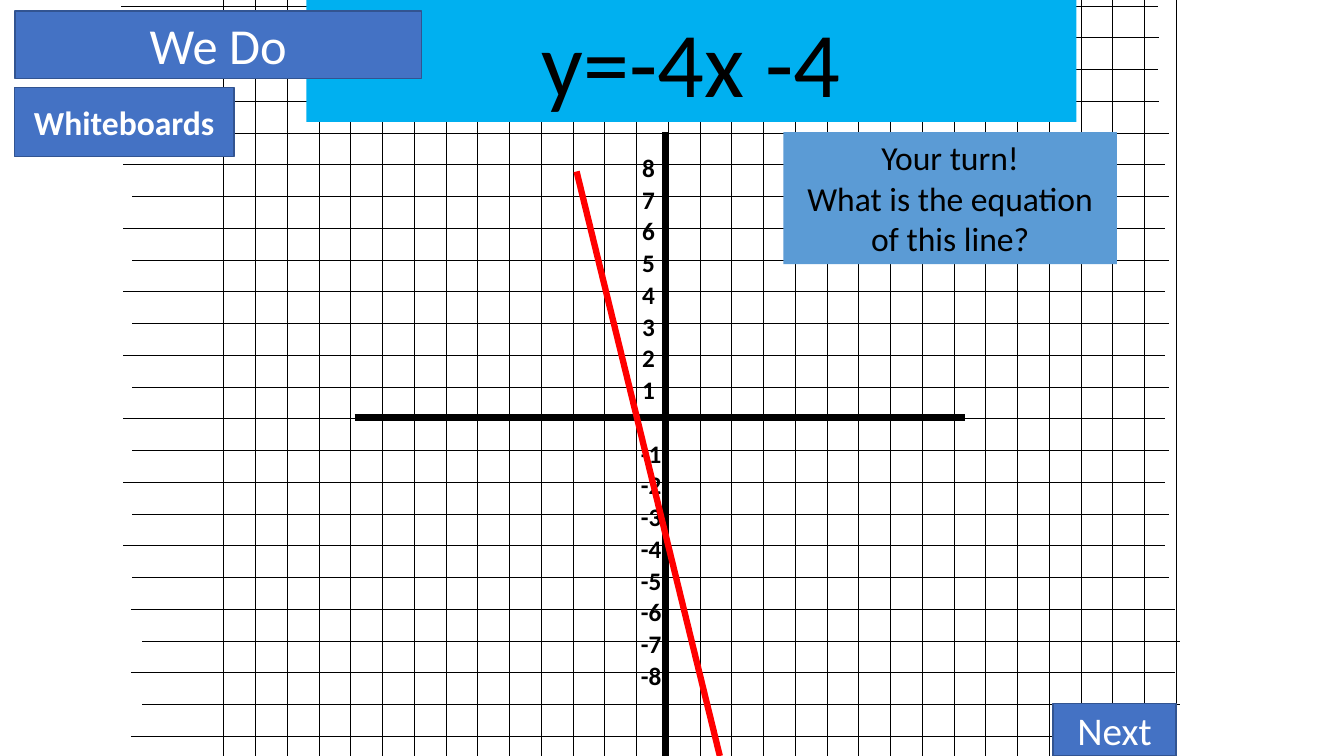
from lxml.etree import SubElement
from pptx import Presentation
from pptx.dml.color import RGBColor
from pptx.enum.shapes import MSO_CONNECTOR as Connector, MSO_SHAPE as Shape
from pptx.enum.text import MSO_ANCHOR as Anchor, MSO_AUTO_SIZE as AutoSize, PP_ALIGN as Align
from pptx.oxml.ns import qn
from pptx.util import Cm, Pt

COLOURS = {
    "black": "000000",
    "white": "FFFFFF",
    "red": "FF0000",
    "title": "00B0F0",
    "question": "5B9BD5",
    "button": "4472C4",
    "button_edge": "325491",
}
FONT = "Calibri"
SLIDE_WIDTH, SLIDE_HEIGHT = 33.87, 19.05
SQUARE = 0.8
GRID_LEFT, GRID_TOP = 5.64, 0.15
COLUMN_COUNT = 31
ROW_BANDS = [
    (range(0, 4), (3.05, 29.18), (2.9, 29.2)),
    (range(4, 19), (3.33, 29.46), (3.1, 29.36)),
    (range(19, 24), (3.58, 29.74), (3.3, 29.6)),
]


def colour(name):
    return RGBColor.from_string(COLOURS[name])


def add_line(page, start, end, name, width):
    line = page.shapes.add_connector(
        Connector.STRAIGHT, *(Cm(value) for value in (*start, *end))
    )
    line.line.color.rgb = colour(name)
    line.line.width = Pt(width)
    SubElement(line._element.spPr, qn("a:effectLst"))


def add_text(box, lines, size, name, bold=False, align=Align.CENTER):
    frame = box.text_frame
    for index, words in enumerate(lines):
        para = frame.add_paragraph() if index else frame.paragraphs[0]
        para.alignment = align
        span = para.add_run()
        span.text = words
        span.font.name = FONT
        span.font.size = Pt(size)
        span.font.bold = bold
        span.font.color.rgb = colour(name)


def add_rectangle(page, place, fill):
    box = page.shapes.add_shape(Shape.RECTANGLE, *(Cm(value) for value in place))
    box.shadow.inherit = False
    box.fill.solid()
    box.fill.fore_color.rgb = colour(fill)
    box.text_frame.word_wrap = True
    return box


def add_panel(page, place, fill, lines, size):
    box = add_rectangle(page, place, fill)
    box.line.fill.background()
    box.text_frame.vertical_anchor = Anchor.TOP
    box.text_frame.auto_size = AutoSize.SHAPE_TO_FIT_TEXT
    add_text(box, lines, size, "black")


def add_button(page, place, label, size, bold=False):
    box = add_rectangle(page, place, "button")
    box.line.color.rgb = colour("button_edge")
    box.line.width = Pt(1)
    box.text_frame.vertical_anchor = Anchor.MIDDLE
    add_text(box, [label], size, "white", bold)


def add_grid(page):
    for column in range(COLUMN_COUNT):
        x = GRID_LEFT + column * SQUARE
        add_line(page, (x, 0), (x, SLIDE_HEIGHT), "black", 0.5)
    for rows, even_ends, odd_ends in ROW_BANDS:
        for row in rows:
            left, right = odd_ends if row % 2 else even_ends
            y = GRID_TOP + row * SQUARE
            add_line(page, (left, y), (right, y), "black", 0.5)


def add_axis_number(page, number):
    left, width = (15.93, 0.84) if number > 0 else (15.9, 1.04)
    top = 10.11 - number * SQUARE
    box = page.shapes.add_textbox(Cm(left), Cm(top), Cm(width), Cm(1.02))
    box.text_frame.word_wrap = False
    box.text_frame.auto_size = AutoSize.SHAPE_TO_FIT_TEXT
    add_text(box, [str(number)], 18, "black", True, Align.LEFT)


def add_axes(page):
    add_line(page, (16.76, 3.33), (16.76, SLIDE_HEIGHT), "black", 4.5)
    add_line(page, (8.94, 10.52), (24.33, 10.52), "black", 4.5)
    for number in range(-8, 9):
        if number:
            add_axis_number(page, number)


def main():
    deck = Presentation()
    deck.slide_width, deck.slide_height = Cm(SLIDE_WIDTH), Cm(SLIDE_HEIGHT)
    page = deck.slides.add_slide(deck.slide_layouts[6])
    add_grid(page)
    add_axes(page)
    add_line(page, (14.53, 4.32), (18.14, SLIDE_HEIGHT), "red", 4.5)
    add_panel(page, (7.72, 0, 19.41, 3.07), "title", ["y=-4x -4"], 66)
    add_button(page, (26.54, 17.73, 3.1, 1.32), "Next", 28)
    question = ["Your turn!", "What is the equation of this line?"]
    add_panel(page, (19.74, 3.33, 8.41, 3.33), "question", question, 24)
    add_button(page, (0.38, 0.28, 10.24, 1.7), "We Do", 36)
    add_button(page, (0.36, 2.21, 5.54, 1.73), "Whiteboards", 24, True)
    deck.save("out.pptx")


if __name__ == "__main__":
    main()
